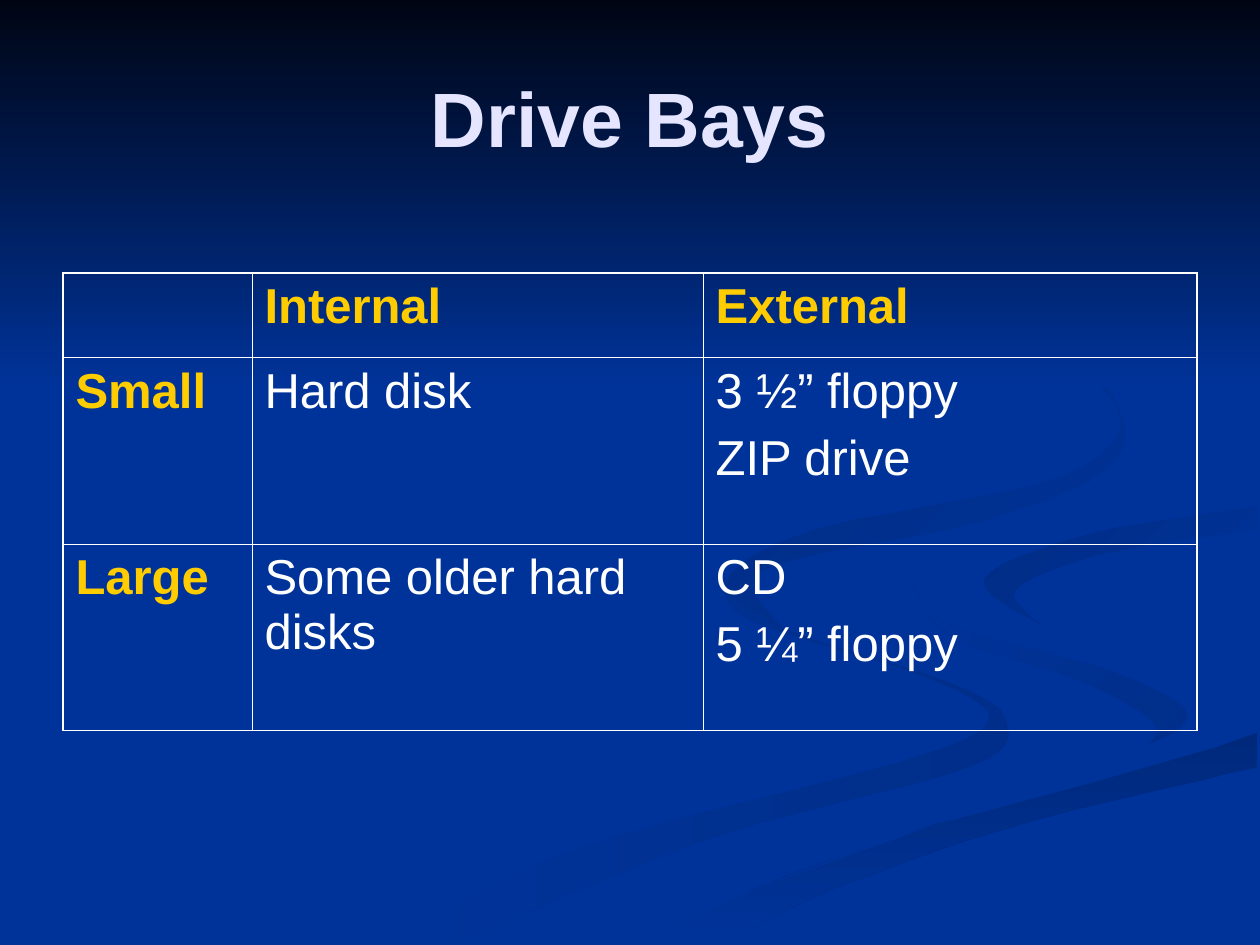
from lxml import etree
from pptx import Presentation
from pptx.dml.color import RGBColor
from pptx.enum.shapes import MSO_SHAPE
from pptx.enum.text import MSO_ANCHOR, PP_ALIGN
from pptx.oxml.ns import qn
from pptx.util import Cm, Pt

RECTANGLE = MSO_SHAPE.RECTANGLE
MIDDLE = MSO_ANCHOR.MIDDLE
CENTER = PP_ALIGN.CENTER
BLUE, WHITE, GOLD, LAVENDER, NIGHT = "003399", "FFFFFF", "FFCC00", "E5E5FF", "000514"
UNIT = Cm(0.0254)
STEPS = 6
OUTER, INNER = 1.08, 0.45

TITLE_FONT = {"name": "Arial", "size": Pt(44), "bold": True}
HEADING_FONT = {"name": "Arial", "size": Pt(28), "bold": True}
ENTRY_FONT = {"name": "Arial", "size": Pt(28), "bold": False}

RIBBONS = [
    ("002E8A", BLUE, 180,
     [(575, 459), (614, 496), (757, 543), (799, 573), (769, 609), (564, 665), (361, 749)],
     [(300, 749), (458, 674), (714, 605), (785, 570), (728, 535), (593, 491), (575, 459)]),
    ("002E8A", BLUE, 225,
     [(724, 464), (758, 498), (888, 535), (943, 570), (894, 605)],
     [(894, 605), (917, 576), (854, 539), (755, 505), (724, 464)]),
    ("00297C", BLUE, 90,
     [(503, 749), (630, 693), (797, 638), (998, 581)],
     [(998, 609), (821, 651), (670, 702), (571, 749)]),
    (BLUE, BLUE, 0,
     [(999, 387), (788, 422), (734, 483), (889, 535), (943, 570), (843, 618), (477, 749)],
     [(503, 749), (696, 669), (999, 581), (999, 538), (832, 498), (786, 453), (999, 402)]),
    (BLUE, "002C85", 225,
     [(998, 402), (865, 424), (781, 460), (826, 496)],
     [(826, 496), (806, 468), (878, 439), (998, 420)]),
    (BLUE, "002B81", 225,
     [(762, 233), (864, 291), (889, 362), (786, 412), (606, 452), (622, 500)],
     [(622, 500), (577, 462), (649, 420), (842, 378), (885, 320), (762, 233)]),
]

DRIVE_BAYS = [
    [[], ["Internal"], ["External"]],
    [["Small"], ["Hard disk"], ["3 ½” floppy", "ZIP drive"]],
    [["Large"], ["Some older hard disks"], ["CD", "5 ¼” floppy"]],
]


def rgb(value):
    return RGBColor.from_string(value)


def style(font, formats, color):
    for key, value in formats.items():
        setattr(font, key, value)
    font.color.rgb = rgb(color)


def smooth_edge(knots):
    padded = [knots[0], *knots, knots[-1]]
    points = [knots[0]]
    for before, start, end, after in zip(padded, padded[1:], padded[2:], padded[3:]):
        for step in range(1, STEPS + 1):
            t = step / STEPS
            points.append(tuple(
                b + t / 2 * (c - a + t * (2 * a - 5 * b + 4 * c - d + t * (3 * (b - c) + d - a)))
                for a, b, c, d in zip(before, start, end, after)))
    return points


def paint(shape, start, end, angle):
    shape.shadow.inherit = False
    shape.line.fill.background()
    if start == end:
        shape.fill.solid()
        shape.fill.fore_color.rgb = rgb(start)
        return
    shape.fill.gradient()
    shape.fill.gradient_angle = (360 - angle) % 360
    for stop, color in zip(shape.fill.gradient_stops, (start, end)):
        stop.color.rgb = rgb(color)


def add_backdrop(slide, left, top, width, height):
    slide.background.fill.solid()
    slide.background.fill.fore_color.rgb = rgb(BLUE)
    for start, end, angle, outward, back in RIBBONS:
        outline = smooth_edge(outward) + smooth_edge(back)
        builder = slide.shapes.build_freeform(*outline[0], scale=UNIT)
        builder.add_line_segments(outline[1:], close=True)
        paint(builder.convert_to_shape(left, top), start, end, angle)
    night_sky = slide.shapes.add_shape(RECTANGLE, left, top, width, int(height * 0.41))
    paint(night_sky, NIGHT, BLUE, 90)


def add_title(slide, left, top, width, height):
    title = slide.shapes.title
    place = {"left": left, "top": top, "width": width, "height": height}
    for key, value in place.items():
        setattr(title, key, value)
    title.text_frame.text = "Drive Bays"
    title.text_frame.vertical_anchor = MIDDLE
    heading = title.text_frame.paragraphs[0]
    heading.alignment = CENTER
    style(heading.runs[0].font, TITLE_FONT, LAVENDER)
    title.element.getparent().append(title.element)


def add_border(cell, side, weight):
    edge = etree.SubElement(cell._tc.get_or_add_tcPr(), qn("a:ln" + side), w=str(Pt(weight)))
    fill = etree.SubElement(edge, qn("a:solidFill"))
    etree.SubElement(fill, qn("a:srgbClr"), val=WHITE)


def fill_cell(cell, lines, is_heading):
    cell.fill.background()
    if not lines:
        return
    cell.text = "\n".join(lines)
    formats, color = (HEADING_FONT, GOLD) if is_heading else (ENTRY_FONT, WHITE)
    for entry in cell.text_frame.paragraphs:
        entry.space_before = Pt(7)
        style(entry.runs[0].font, formats, color)


def add_bay_table(slide, left, top, width, height):
    frame = slide.shapes.add_table(3, 3, left, top, width, height)
    bays = frame.table
    bays.first_row = bays.horz_banding = False
    for column, share in zip(bays.columns, (1.5, 3.58, 3.92)):
        column.width = int(width * share / 9)
    for row, share in zip(bays.rows, (0.67, 1.48, 1.48)):
        row.height = int(height * share / 3.63)
    for r, row in enumerate(DRIVE_BAYS):
        for c, lines in enumerate(row):
            cell = bays.cell(r, c)
            on_rim = {"L": c == 0, "R": c == 2, "T": r == 0, "B": r == 2}
            for side, outer in on_rim.items():
                add_border(cell, side, OUTER if outer else INNER)
            fill_cell(cell, lines, r == 0 or c == 0)


deck = Presentation()
deck.slide_width, deck.slide_height = Cm(25.4), Cm(19.05)
slide = deck.slides.add_slide(deck.slide_layouts[5])
add_backdrop(slide, Cm(0), Cm(0), deck.slide_width, deck.slide_height)
add_title(slide, Cm(1.27), Cm(0.76), Cm(22.86), Cm(3.18))
add_bay_table(slide, Cm(1.27), Cm(5.51), Cm(22.86), Cm(9.22))
deck.save("out.pptx")
